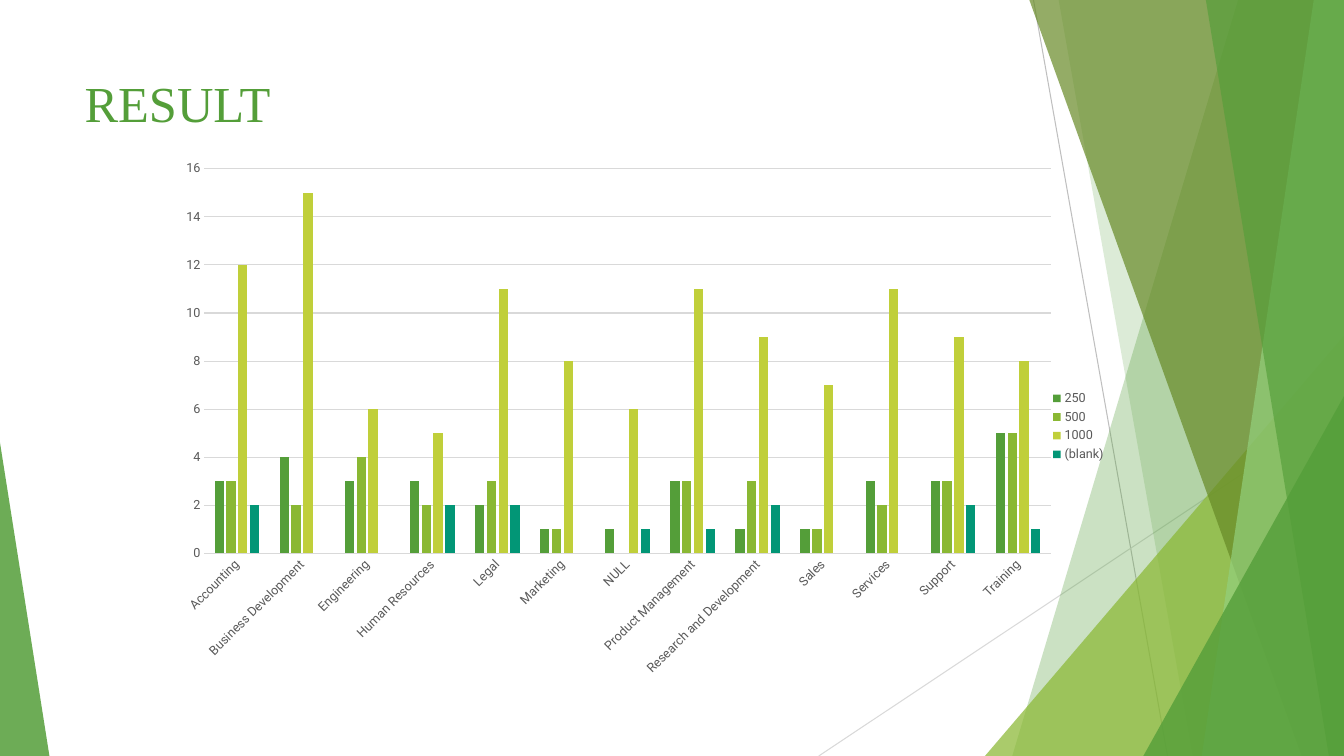
from lxml.etree import SubElement
from pptx import Presentation
from pptx.chart.data import CategoryChartData
from pptx.dml.color import RGBColor
from pptx.enum.chart import XL_CHART_TYPE, XL_LEGEND_POSITION, XL_TICK_MARK
from pptx.enum.shapes import MSO_CONNECTOR, MSO_SHAPE
from pptx.enum.text import MSO_ANCHOR, MSO_AUTO_SIZE, PP_ALIGN
from pptx.oxml.ns import qn
from pptx.util import Inches, Pt

COLORS = {
    "green": "549E39", "lime": "8AB833", "yellow": "C0CF3A", "teal": "029676",
    "olive": "678A26", "mint": "93D07D", "text": "595959",
    "grid": "D9D9D9", "rule": "BFBFBF",
}
DEPARTMENTS = [
    "Accounting", "Business Development", "Engineering", "Human Resources",
    "Legal", "Marketing", "NULL", "Product Management",
    "Research and Development", "Sales", "Services", "Support", "Training",
]
SERIES = [
    ("250", "green", [3, 4, 3, 3, 2, 1, 1, 3, 1, 1, 3, 3, 5]),
    ("500", "lime", [3, 2, 4, 2, 3, 1, None, 3, 3, 1, 2, 3, 5]),
    ("1000", "yellow", [12, 15, 6, 5, 11, 8, 6, 11, 9, 7, 11, 9, 8]),
    ("(blank)", "teal", [2, None, None, 2, 2, None, 1, 1, 2, None, None, 2, 1]),
]


class Deck:
    """Draws styled elements on one slide, with lengths in percent of its size."""

    def __init__(self):
        self.prs = Presentation()
        self.prs.slide_width, self.prs.slide_height = Inches(13.33), Inches(7.5)
        self.s = self.prs.slides.add_slide(self.prs.slide_layouts[5])

    def x(self, share):
        return round(self.prs.slide_width * share / 100)

    def y(self, share):
        return round(self.prs.slide_height * share / 100)

    def box(self, left, top, width, height):
        return self.x(left), self.y(top), self.x(width), self.y(height)

    def color(self, name):
        return RGBColor.from_string(COLORS[name])

    def paint(self, fill, name):
        fill.solid()
        fill.fore_color.rgb = self.color(name)

    def stroke(self, line, name):
        self.paint(line.fill, name)
        line.width = Pt(0.75)

    def type(self, font, size, name, face="Roboto"):
        font.name, font.size = face, Pt(size)
        font.color.rgb = self.color(name)

    def glass(self, sp, name, opacity):
        sp.shadow.inherit = False
        sp.line.fill.background()
        self.paint(sp.fill, name)
        rgb = sp._element.spPr.find(qn("a:solidFill")).find(qn("a:srgbClr"))
        SubElement(rgb, qn("a:alpha"), val=str(opacity * 1000))

    def line(self, x1, y1, x2, y2, name):
        cn = self.s.shapes.add_connector(
            MSO_CONNECTOR.STRAIGHT, self.x(x1), self.y(y1), self.x(x2), self.y(y2))
        self.stroke(cn.line, name)
        SubElement(cn._element.spPr, qn("a:effectLst"))

    def panel(self, top_x, bottom_x, name, opacity):
        corners = [(100, 0), (100, 100), (bottom_x, 100)]
        fb = self.s.shapes.build_freeform(self.x(top_x), 0)
        fb.add_line_segments([(self.x(x), self.y(y)) for x, y in corners])
        self.glass(fb.convert_to_shape(), name, opacity)

    def triangle(self, left, top, width, apex, name, opacity):
        sp = self.s.shapes.add_shape(
            MSO_SHAPE.ISOSCELES_TRIANGLE, *self.box(left, top, width, 100 - top))
        sp.adjustments[0] = apex
        self.glass(sp, name, opacity)

    def title(self, text, *box):
        sp = self.s.shapes.title
        sp.left, sp.top, sp.width, sp.height = self.box(*box)
        self.s.shapes._spTree.append(sp._element)
        tf = sp.text_frame
        tf.text = text
        tf.auto_size = MSO_AUTO_SIZE.NONE
        tf.vertical_anchor = MSO_ANCHOR.TOP
        p = tf.paragraphs[0]
        p.alignment = PP_ALIGN.LEFT
        self.type(p.font, 36, "green", "Times New Roman")

    def columns(self, categories, series, plot_box, *box):
        data = CategoryChartData()
        data.categories = categories
        for name, _, values in series:
            data.add_series(name, values)
        chart = self.s.shapes.add_chart(
            XL_CHART_TYPE.COLUMN_CLUSTERED, *self.box(*box), data).chart
        chart.has_title = False
        self.type(chart.font, 10, "text")
        chart.has_legend = True
        chart.legend.position = XL_LEGEND_POSITION.RIGHT
        chart.legend.include_in_layout = False
        self.type(chart.legend.font, 9, "text")
        plot = chart.plots[0]
        plot.gap_width, plot.overlap, plot.vary_by_categories = 219, -27, False
        for ser, (_, color, _) in zip(plot.series, series):
            self.paint(ser.format.fill, color)
            ser.invert_if_negative = False
        cat, val = chart.category_axis, chart.value_axis
        for axis in (cat, val):
            axis.major_tick_mark = axis.minor_tick_mark = XL_TICK_MARK.NONE
            self.type(axis.tick_labels.font, 9, "text")
        self.stroke(cat.format.line, "grid")
        cat._element.find(qn("c:txPr")).find(qn("a:bodyPr")).set("rot", "-2700000")
        val.minimum_scale, val.maximum_scale, val.major_unit = 0, 16, 2
        val.format.line.fill.background()
        self.stroke(val.major_gridlines.format.line, "grid")
        self.place_plot(chart, plot_box)

    def place_plot(self, chart, plot_box):
        area = chart._chartSpace.chart.plotArea
        for old in area.findall(qn("c:layout")):
            area.remove(old)
        layout = SubElement(area, qn("c:layout"))
        area.insert(0, layout)
        manual = SubElement(layout, qn("c:manualLayout"))
        settings = [("layoutTarget", "inner"), ("xMode", "edge"), ("yMode", "edge")]
        for tag, value in settings + list(zip("xywh", plot_box)):
            SubElement(manual, qn(f"c:{tag}"), val=str(value))


def main():
    deck = Deck()
    deck.line(76.9, 0, 86.87, 100, "rule")
    deck.line(100, 53.73, 60.92, 100, "grid")
    deck.panel(92.12, 75.32, "green", 30)
    deck.panel(78.77, 88.75, "green", 20)
    deck.triangle(73.29, 44.4, 26.71, 1, "lime", 72)
    deck.panel(76.59, 96.85, "olive", 70)
    deck.panel(97.75, 89.42, "mint", 70)
    deck.panel(89.72, 98.87, "green", 65)
    deck.triangle(85.07, 52.4, 14.93, 1, "green", 80)
    deck.triangle(0, 58.53, 3.68, 0, "green", 85)
    deck.title("RESULT", 5.55, 8.93, 70.52, 19.2)
    deck.columns(DEPARTMENTS, SERIES, (0.038, 0.032, 0.893, 0.699),
                 12.53, 20, 70.52, 72.8)
    deck.prs.save("out.pptx")


if __name__ == "__main__":
    main()
